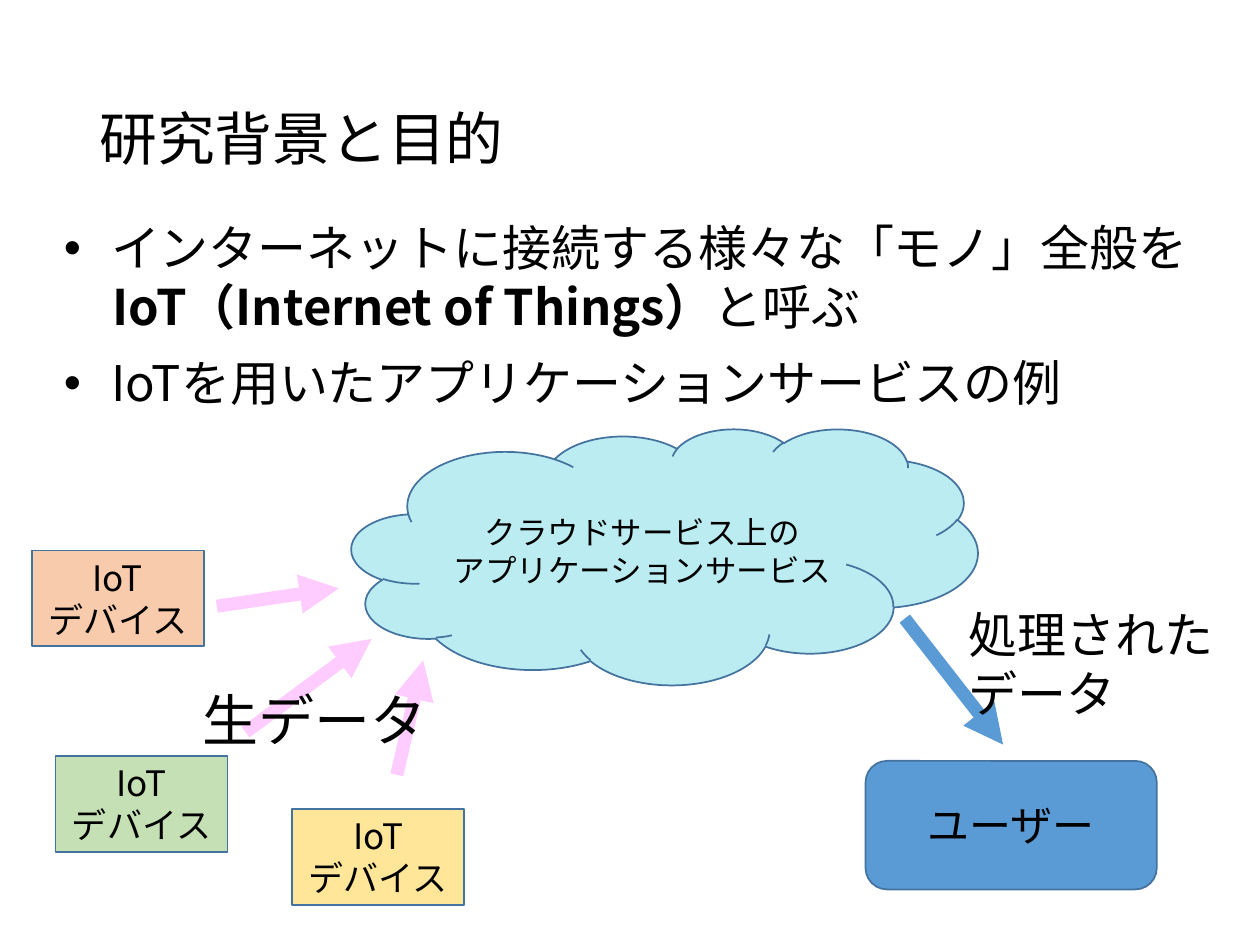
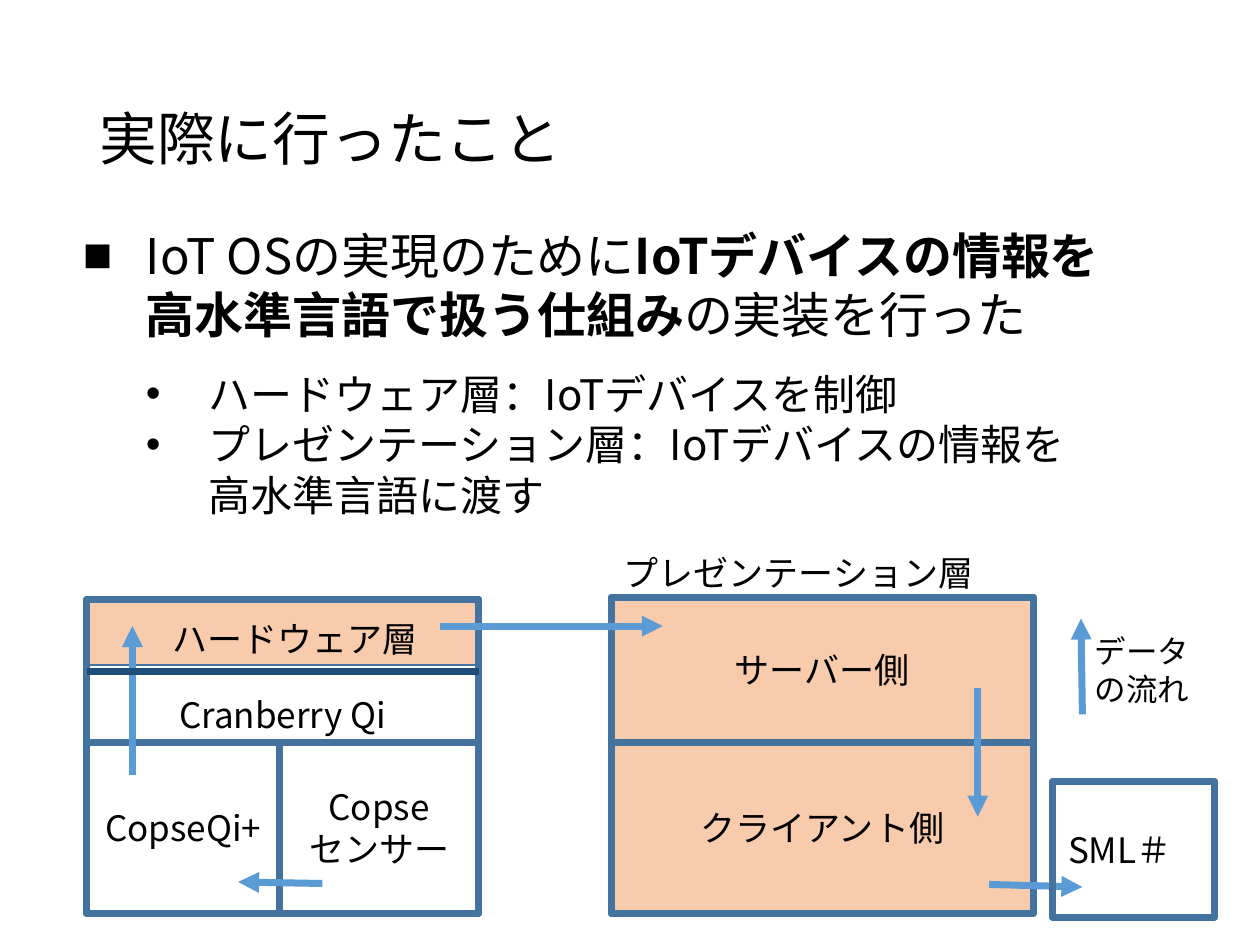
"""Build two slides on IoT data flow and the layers implemented."""
import pptx
import pptx.dml.color
import pptx.enum.shapes
import pptx.enum.text
import pptx.oxml.ns
import pptx.util
import lxml.etree

Cm, Pt = pptx.util.Cm, pptx.util.Pt
Kind = pptx.enum.shapes.MSO_SHAPE
Align = pptx.enum.text.PP_ALIGN
Anchor = pptx.enum.text.MSO_ANCHOR
FACE = "Noto Sans CJK JP"
BLACK, EDGE, BLUE = "000000", "43739E", "5B9BD5"
PEACH, PINK, NAVY = "F8CBAD", "FFCCFF", "1F4E79"


def color(code):
    return pptx.dml.color.RGBColor.from_string(code)


def add_tag(parent, tag, **attrs):
    return lxml.etree.SubElement(parent, pptx.oxml.ns.qn(tag), **attrs)


def style(para, size, align=Align.LEFT):
    para.alignment = align
    font = para.font
    font.size, font.name = Pt(size), FACE
    font.color.rgb = color(BLACK)
    props = para._p.get_or_add_pPr().find(pptx.oxml.ns.qn("a:defRPr"))
    add_tag(props, "a:ea", typeface=FACE)


def fill_text(para, text):
    """Write text, setting the parts between asterisks in bold."""
    if "*" not in text:
        para.text = text
        return
    for i, part in enumerate(text.split("*")):
        if part:
            run = para.add_run()
            run.text = part
            run.font.bold = i % 2 == 1


def add_bullet(para, mark, left, hang):
    props = para._p.get_or_add_pPr()
    props.set("marL", str(Cm(left)))
    props.set("indent", str(-Cm(hang)))
    add_tag(props, "a:buFont", typeface="Arial")
    add_tag(props, "a:buChar", char=mark)


def add_lines(frame, lines, size, align=Align.LEFT):
    for i, line in enumerate(lines):
        para = frame.add_paragraph() if i else frame.paragraphs[0]
        fill_text(para, line)
        style(para, size, align)


def add_label(slide, box, text, size):
    frame = slide.shapes.add_textbox(*map(Cm, box)).text_frame
    frame.word_wrap = True
    add_lines(frame, [text], size)


def add_list(slide, box, items):
    """Add a list of (text, size, mark, left, hang, level) items."""
    frame = slide.shapes.add_textbox(*map(Cm, box)).text_frame
    frame.word_wrap = True
    for i, (text, size, mark, left, hang, level) in enumerate(items):
        para = frame.add_paragraph() if i else frame.paragraphs[0]
        para.level = level
        fill_text(para, text)
        if mark:
            add_bullet(para, mark, left, hang)
        style(para, size)
    return frame


def add_box(slide, box, lines=(), fill=None, size=20, width=4,
            kind=Kind.RECTANGLE, anchor=Anchor.MIDDLE):
    shape = slide.shapes.add_shape(kind, *map(Cm, box))
    shape.shadow.inherit = False
    if fill:
        shape.fill.solid()
        shape.fill.fore_color.rgb = color(fill)
    else:
        shape.fill.background()
    shape.line.color.rgb = color(EDGE)
    shape.line.width = Pt(width)
    frame = shape.text_frame
    frame.word_wrap = True
    frame.vertical_anchor = anchor
    add_lines(frame, lines, size, Align.CENTER)
    return shape


def add_line(slide, ends, code=BLUE, width=4, arrow=True):
    straight = pptx.enum.shapes.MSO_CONNECTOR.STRAIGHT
    line = slide.shapes.add_connector(straight, *map(Cm, ends))
    line.line.color.rgb = color(code)
    line.line.width = Pt(width)
    if arrow:
        add_tag(line.line._get_or_add_ln(), "a:tailEnd", type="triangle")
    add_tag(line._element.spPr, "a:effectLst")


def add_slide(deck, text):
    slide = deck.slides.add_slide(deck.slide_layouts[5])
    title = slide.shapes.title
    title.left, title.top, title.width, title.height = map(
        Cm, (1.75, 1.02, 21.9, 3.68))
    title.text_frame.vertical_anchor = Anchor.MIDDLE
    add_lines(title.text_frame, [text], 33)
    title.text_frame.paragraphs[0].line_spacing = 0.9
    return slide


def draw_goal(deck):
    slide = add_slide(deck, "研究背景と目的")
    add_list(slide, (1.04, 4.27, 23.34, 2.64), [
        ("インターネットに接続する様々な「モノ」全般を", 28, "•", 0.95, 0.95, 0),
        ("*　IoT（Internet of Things）*と呼ぶ", 28, None, 0, 0, 0)])
    add_box(slide, (7.09, 8.64, 12.62, 5.16),
            ["クラウドサービス上の", "アプリケーションサービス"],
            "BBECF1", 18, 1, Kind.CLOUD)
    for left, top, fill in ((0.64, 11.1, PEACH), (1.12, 15.24, "C5E0B4"),
                            (5.89, 16.31, "FFE699")):
        add_box(slide, (left, top, 3.47, 1.93), ["IoT", "デバイス"], fill, width=1)
    for ends in ((4.37, 12.22, 6.83, 11.86), (4.95, 14.76, 7.49, 12.88),
                 (8, 15.62, 8.53, 13.31)):
        add_line(slide, ends, PINK, 7.5)
    add_box(slide, (17.45, 15.34, 5.87, 2.59), ["ユーザー"],
            BLUE, 24, 1, Kind.ROUNDED_RECTANGLE)
    add_line(slide, (18.24, 12.47, 20.22, 15.01), BLUE, 7.5)
    add_list(slide, (1.04, 6.99, 21.9, 1.45), [
        ("IoTを用いたアプリケーションサービスの例", 28, "•", 0.95, 0.95, 0)])
    add_label(slide, (3.84, 13.69, 7.34, 1.63), "生データ", 32)
    add_label(slide, (19.28, 12.07, 6.63, 2.64), "処理されたデータ", 28)


def draw_work(deck):
    slide = add_slide(deck, "実際に行ったこと")
    left, wide, top = 1.75, 7.9, 12.09
    right, span, head = 12.32, 8.51, 12.04
    mid, low = 14.96, 18.41
    half = 3.89
    add_box(slide, (left, top, wide, 1.32), fill=PEACH, width=1)
    frame = add_list(slide, (1.42, 4.42, 21.21, 6.25), [
        ("IoT OSの実現のために*IoTデバイスの情報を高水準言語で扱う仕組み*の実装を行った",
         28, "■", 1.27, 1.27, 0),
        ("ハードウェア層：IoTデバイスを制御", 24, "•", 2.54, 1.27, 1),
        ("プレゼンテーション層：IoTデバイスの情報を\v高水準言語に渡す",
         24, "•", 2.54, 1.27, 1)])
    frame.paragraphs[1].line_spacing = 1.5

    add_box(slide, (left, top, wide, low - top))
    add_label(slide, (3.23, 12.32, span, 1.12), "ハードウェア層", 20)
    add_box(slide, (left, top, wide, mid - top), ["Cranberry Qi"],
            anchor=Anchor.BOTTOM)
    add_box(slide, (left, mid, half, low - mid), ["CopseQi+"])
    add_box(slide, (left + half, mid, wide - half, low - mid),
            ["Copse", "センサー"])

    add_box(slide, (right, head, span, low - head))
    add_label(slide, (right, 11, span, 1.12), "プレゼンテーション層", 20)
    add_box(slide, (right, head, span, mid - head), ["サーバー側"], PEACH)
    add_box(slide, (right, mid, span, low - mid), ["クライアント側"], PEACH)

    for ends in ((6.5, 17.81, 4.8, 17.78), (2.67, 15.62, 2.67, 12.62),
                 (8.86, 12.62, 13.36, 12.62), (19.71, 13.87, 19.71, 16.46),
                 (21.82, 14.4, 21.79, 12.47)):
        add_line(slide, ends)
    add_label(slide, (21.82, 12.62, 2.44, 1.8), "データの流れ", 18)
    add_line(slide, (19.94, 17.83, 21.82, 17.88))
    sml = add_box(slide, (21.21, 15.75, 3.28, 2.74), ["SML＃"])
    sml.text_frame.margin_left = Cm(0.1)
    sml.text_frame.margin_right = Cm(0.65)
    add_line(slide, (left, 13.54, left + wide, 13.54), NAVY, arrow=False)


def main():
    deck = pptx.Presentation()
    deck.slide_width, deck.slide_height = Cm(25.4), Cm(19.05)
    draw_goal(deck)
    draw_work(deck)
    deck.save("out.pptx")


if __name__ == "__main__":
    main()
